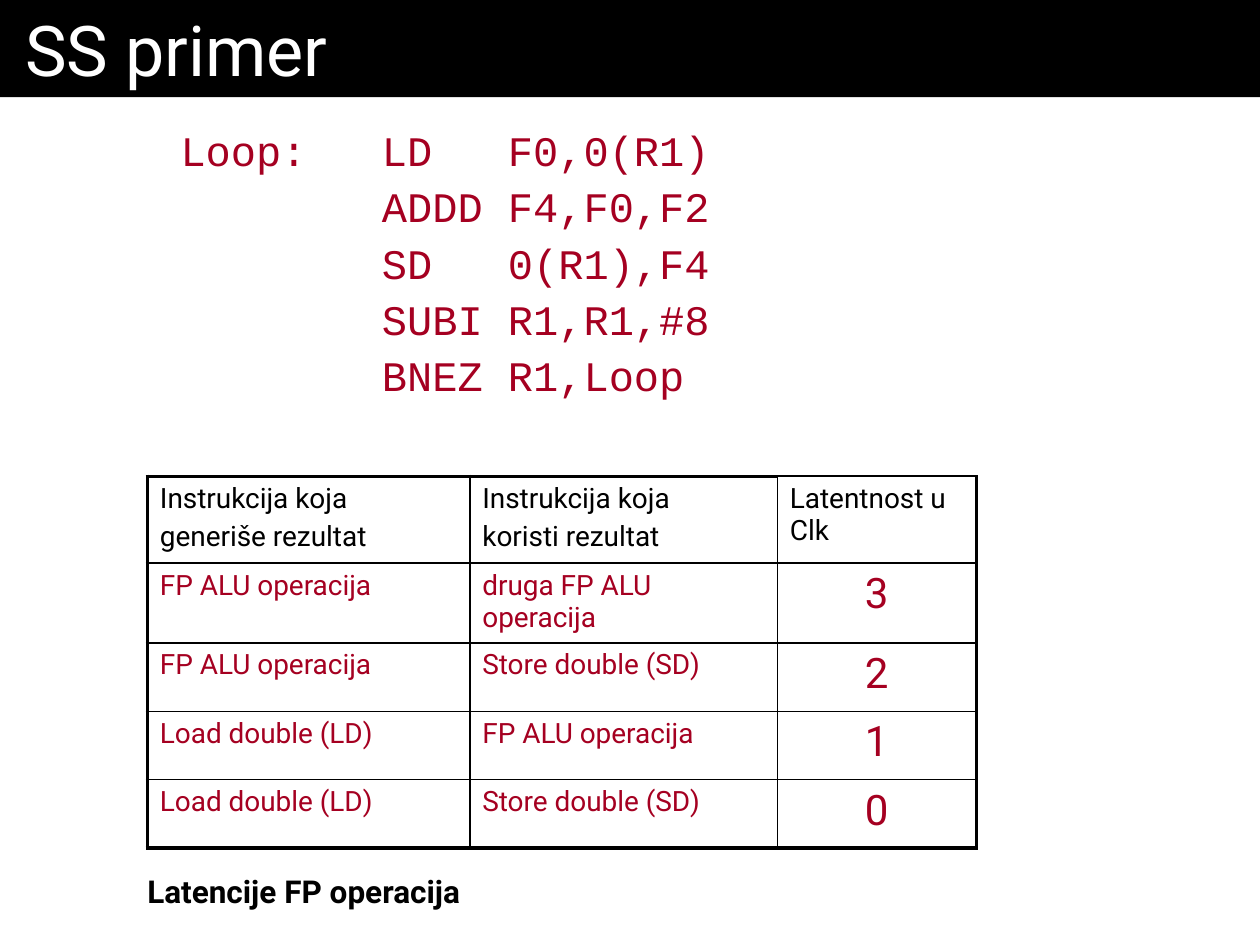
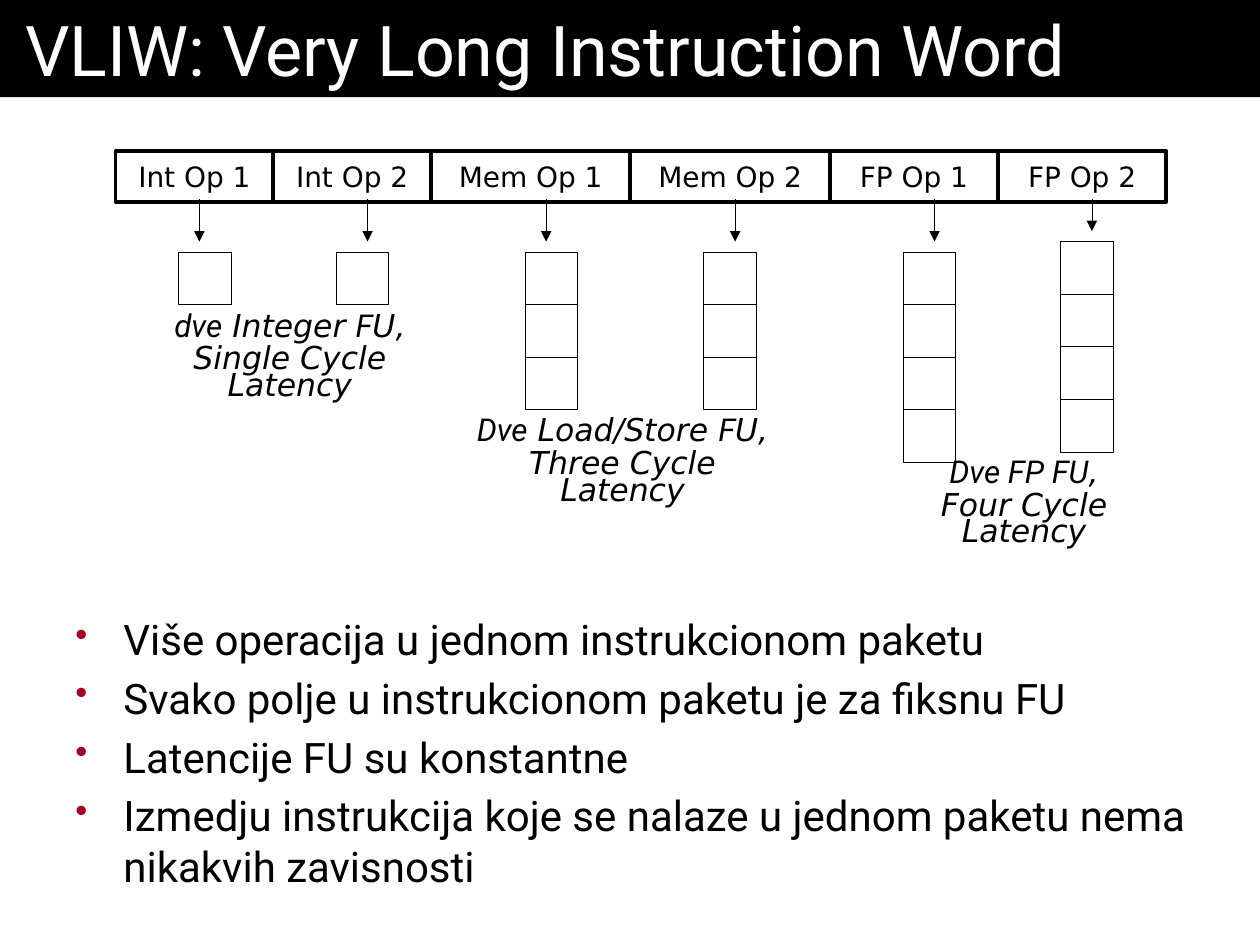
from dataclasses import dataclass, field
from itertools import accumulate
from typing import Any, NamedTuple, Optional

import pptx
import pptx.dml.color
import pptx.enum.shapes
import pptx.enum.text
import pptx.oxml
import pptx.oxml.ns
import pptx.util
from lxml import etree
from pptx.util import Cm, Pt

ALIGN = pptx.enum.text.PP_ALIGN
ANCHOR = pptx.enum.text.MSO_ANCHOR
RECTANGLE = pptx.enum.shapes.MSO_SHAPE.RECTANGLE
STRAIGHT = pptx.enum.shapes.MSO_CONNECTOR.STRAIGHT


@dataclass(frozen=True)
class Theme:
    black: str = "000000"
    white: str = "FFFFFF"
    accent: str = "A50021"
    body_font: str = "Roboto"
    code_font: str = "Courier New"
    diagram_font: str = "DejaVu Sans"
    title_size: float = 40
    body_size: float = 24
    label_size: float = 18
    small_size: float = 16
    thick: float = 2.25
    thin: float = 1
    hairline: float = 0.25


THEME = Theme()


class Place(NamedTuple):
    left: float
    top: float
    width: float
    height: float

    def lengths(self) -> list[int]:
        return [Cm(value) for value in self]


@dataclass(frozen=True)
class Style:
    size: float
    color: str = THEME.black
    font: str = THEME.body_font
    align: Any = ALIGN.LEFT
    bold: bool = False
    italic: bool = False
    line_spacing: Optional[float] = None
    space_before: int = 0
    bullet: bool = False
    tabs: tuple[float, ...] = ()


class Span(NamedTuple):
    text: str
    font: str


@dataclass(frozen=True)
class Para:
    spans: tuple[Span, ...]
    style: Style


@dataclass(frozen=True)
class Frame:
    anchor: Any = ANCHOR.MIDDLE
    wrap: bool = True
    side_margin: float = 0.25


class Unit(NamedTuple):
    """One operation slot with the pipeline stages below it."""
    name: str
    slot_width: float
    stage_left: float
    stage_top: float
    stages: int
    arrow_x: float


@dataclass(frozen=True)
class Caption:
    place: Place
    spans: tuple[Span, ...]
    latency: str = field(default="")


TITLE = Style(THEME.title_size, THEME.white)
CODE = Style(THEME.body_size, THEME.accent, THEME.code_font,
             line_spacing=0.7, space_before=50, tabs=(4.06, 6.6))
HEADING = Style(THEME.small_size, space_before=20)
ENTRY = Style(THEME.small_size, THEME.accent, space_before=20)
LATENCY = Style(THEME.body_size, THEME.accent, align=ALIGN.CENTER, space_before=20)
NOTE = Style(THEME.label_size, bold=True)
SLOT = Style(THEME.small_size, font=THEME.diagram_font, align=ALIGN.CENTER, space_before=50)
UNIT_NAME = Style(THEME.label_size, align=ALIGN.CENTER, italic=True,
                  line_spacing=0.7, space_before=50)
UNIT_LATENCY = Style(THEME.label_size, font=THEME.diagram_font, align=ALIGN.CENTER,
                     italic=True, line_spacing=0.7, space_before=20)
BULLET = Style(THEME.body_size, space_before=20, bullet=True)

CODE_LINES = ["Loop:\tLD\tF0,0(R1)", "\tADDD\tF4,F0,F2", "\tSD\t0(R1),F4",
              "\tSUBI\tR1,R1,#8", "\tBNEZ\tR1,Loop"]
LATENCY_ROWS = [
    ("Instrukcija koja\ngeneriše rezultat", "Instrukcija koja\nkoristi rezultat",
     "Latentnost u Clk"),
    ("FP ALU operacija", "druga FP ALU operacija", "3"),
    ("FP ALU operacija", "Store double (SD)", "2"),
    ("Load double (LD)", "FP ALU operacija", "1"),
    ("Load double (LD)", "Store double (SD)", "0"),
]
COLUMN_WIDTHS = [6.5, 6.2, 4.01]
ROW_HEIGHTS = [1.75, 1.6, 1.38, 1.38, 1.38]

STAGE = 1.06
SLOT_LEFT, SLOT_TOP, SLOT_HEIGHT = 2.33, 3.05, 1.02
UNITS = [
    Unit("Int Op 1", 3.18, 3.6, 5.08, 1, 4.02),
    Unit("Int Op 2", 3.18, 6.77, 5.08, 1, 7.41),
    Unit("Mem Op 1", 4.02, 10.58, 5.08, 3, 11.01),
    Unit("Mem Op 2", 4.02, 14.18, 5.08, 3, 14.82),
    Unit("FP Op 1", 3.39, 18.2, 5.08, 4, 18.84),
    Unit("FP Op 2", 3.39, 21.38, 4.87, 4, 22.01),
]
PLAIN, DIAGRAM = THEME.body_font, THEME.diagram_font
CAPTIONS = [
    Caption(Place(2.29, 6.5, 7.11, 1.47),
            (Span("dve", PLAIN), Span(" Integer ", DIAGRAM), Span("F", PLAIN),
             Span("U,", DIAGRAM)), "Single Cycle Latency"),
    Caption(Place(9.07, 8.61, 6.96, 1.47),
            (Span("Dve", PLAIN), Span(" Load/Store ", DIAGRAM), Span("F", PLAIN),
             Span("U,", DIAGRAM)), "Three Cycle Latency"),
    Caption(Place(17.37, 9.45, 6.55, 1.47),
            (Span("Dve FP FU", PLAIN), Span(",", DIAGRAM)), "Four Cycle Latency"),
]
BULLETS = ["Više operacija u jednom instrukcionom paketu",
           "Svako polje u instrukcionom paketu je za fiksnu FU",
           "Latencije FU su konstantne",
           "Izmedju instrukcija koje se nalaze u jednom paketu nema nikakvih zavisnosti"]


def rgb(color: str) -> pptx.dml.color.RGBColor:
    return pptx.dml.color.RGBColor.from_string(color)


def set_format(target: Any, values: dict[str, Any]) -> None:
    for name, value in values.items():
        setattr(target, name, value)


def add_xml(parent: Any, tag: str, **attributes: Any) -> Any:
    return etree.SubElement(parent, pptx.oxml.ns.qn(tag),
                            {name: str(value) for name, value in attributes.items()})


def paras(lines: list[str], style: Style) -> list[Para]:
    return [Para((Span(line, style.font),), style) for line in lines]


def format_para(para: Any, style: Style) -> None:
    set_format(para, {"alignment": style.align, "line_spacing": style.line_spacing})
    properties = para._p.get_or_add_pPr()
    add_xml(add_xml(properties, "a:spcBef"), "a:spcPct", val=style.space_before * 1000)
    if style.bullet:
        set_format_indent = {"marL": Cm(0.97), "indent": Cm(-0.97)}
        for name, value in set_format_indent.items():
            properties.set(name, str(int(value)))
        add_xml(add_xml(properties, "a:buClr"), "a:srgbClr", val=THEME.accent)
        add_xml(properties, "a:buSzPct", val=85000)
        add_xml(properties, "a:buChar", char="•")
    if style.tabs:
        stops = add_xml(properties, "a:tabLst")
        for stop in style.tabs:
            add_xml(stops, "a:tab", pos=int(Cm(stop)), algn="l")


def write(text_frame: Any, content: list[Para]) -> None:
    for index, entry in enumerate(content):
        para = text_frame.add_paragraph() if index else text_frame.paragraphs[0]
        style = entry.style
        format_para(para, style)
        for piece in entry.spans:
            span = para.add_run()
            span.text = piece.text
            set_format(span.font, {"name": piece.font, "size": Pt(style.size),
                                   "bold": style.bold, "italic": style.italic})
            span.font.color.rgb = rgb(style.color)


def fill_frame(box: Any, content: list[Para], frame: Frame) -> None:
    set_format(box.text_frame, {
        "word_wrap": frame.wrap, "vertical_anchor": frame.anchor,
        "auto_size": pptx.enum.text.MSO_AUTO_SIZE.SHAPE_TO_FIT_TEXT,
        "margin_left": Cm(frame.side_margin), "margin_right": Cm(frame.side_margin),
        "margin_top": Cm(0.13), "margin_bottom": Cm(0.13)})
    write(box.text_frame, content)


def add_text(page: Any, place: Place, content: list[Para], frame: Frame = Frame()) -> None:
    fill_frame(page.shapes.add_textbox(*place.lengths()), content, frame)


def add_rectangle(shapes: Any, place: Place, line_width: float = 0,
                  fill: Optional[str] = None) -> Any:
    box = shapes.add_shape(RECTANGLE, *place.lengths())
    box.shadow.inherit = False
    if fill:
        box.fill.solid()
        box.fill.fore_color.rgb = rgb(fill)
    else:
        box.fill.background()
    if line_width:
        box.line.color.rgb = rgb(THEME.black)
        box.line.width = Pt(line_width)
    else:
        box.line.fill.background()
    return box


def add_page(deck: Any, title: str) -> Any:
    page = deck.slides.add_slide(deck.slide_layouts[6])
    band = add_rectangle(page.shapes, Place(0, 0, 25.4, 1.96), fill=THEME.black)
    fill_frame(band, paras([title], TITLE), Frame(side_margin=0.51))
    return page


def add_arrow(page: Any, x: float, top: float, bottom: float) -> None:
    arrow = page.shapes.add_connector(STRAIGHT, Cm(x), Cm(top), Cm(x), Cm(bottom))
    arrow.line.color.rgb = rgb(THEME.black)
    arrow.line.width = Pt(THEME.hairline)
    properties = arrow.element.spPr
    add_xml(properties.find(pptx.oxml.ns.qn("a:ln")), "a:tailEnd", type="triangle")
    add_xml(properties, "a:effectLst")


def set_borders(cell: Any, widths: dict[str, float]) -> None:
    properties = cell._tc.get_or_add_tcPr()
    for side, width in widths.items():
        line = add_xml(properties, f"a:ln{side}", w=int(Pt(width)))
        add_xml(add_xml(line, "a:solidFill"), "a:srgbClr", val=THEME.black)


def add_latency_table(page: Any, place: Place) -> None:
    last_row, last_column = len(ROW_HEIGHTS) - 1, len(COLUMN_WIDTHS) - 1
    table = page.shapes.add_table(last_row + 1, last_column + 1, *place.lengths()).table
    set_format(table, {"first_row": False, "horz_banding": False})
    for column, width in zip(table.columns, COLUMN_WIDTHS):
        column.width = Cm(width)
    for row, height in zip(table.rows, ROW_HEIGHTS):
        row.height = Cm(height)
    for r, texts in enumerate(LATENCY_ROWS):
        for c, text in enumerate(texts):
            cell = table.cell(r, c)
            edges = {"L": c == 0, "R": c == last_column,
                     "T": r == 0 and c < last_column, "B": r == last_row}
            set_borders(cell, {side: THEME.thick if outer else THEME.thin
                               for side, outer in edges.items()})
            cell.fill.background()
            style = HEADING if r == 0 else LATENCY if c == last_column else ENTRY
            write(cell.text_frame, paras(text.split("\n"), style))


def add_unit(page: Any, unit: Unit, slot_left: float) -> None:
    stack = page.shapes.add_group_shape() if unit.stages > 1 else page
    for stage in range(unit.stages):
        add_rectangle(stack.shapes, Place(unit.stage_left, unit.stage_top + stage * STAGE,
                                          STAGE, STAGE), THEME.hairline)
    add_arrow(page, unit.arrow_x, 4.02, unit.stage_top - 0.21)
    slot = add_rectangle(page.shapes, Place(slot_left, SLOT_TOP, unit.slot_width, SLOT_HEIGHT),
                         THEME.thick)
    fill_frame(slot, paras([unit.name], SLOT), Frame())


def build_example(deck: Any) -> None:
    page = add_page(deck, "SS primer")
    add_text(page, Place(3.39, 2.33, 19.05, 5.84), paras(CODE_LINES, CODE), Frame(ANCHOR.BOTTOM))
    add_latency_table(page, Place(2.97, 9.6, sum(COLUMN_WIDTHS), sum(ROW_HEIGHTS)))
    add_text(page, Place(2.72, 17.45, 7.21, 1.02), paras(["Latencije FP operacija"], NOTE),
             Frame(ANCHOR.BOTTOM, wrap=False))


def build_vliw(deck: Any) -> None:
    page = add_page(deck, "VLIW: Very Long Instruction Word")
    slot_lefts = accumulate((unit.slot_width for unit in UNITS), initial=SLOT_LEFT)
    for unit, slot_left in zip(UNITS, slot_lefts):
        add_unit(page, unit, slot_left)
    for caption in CAPTIONS:
        add_text(page, caption.place,
                 [Para(caption.spans, UNIT_NAME), *paras([caption.latency], UNIT_LATENCY)],
                 Frame(side_margin=0.38))
    add_text(page, Place(1.27, 12.19, 23.11, 5.94), paras(BULLETS, BULLET))


def main() -> None:
    deck = pptx.Presentation()
    set_format(deck, {"slide_width": Cm(25.4), "slide_height": Cm(19.05)})
    build_example(deck)
    build_vliw(deck)
    deck.save("out.pptx")


if __name__ == "__main__":
    main()
